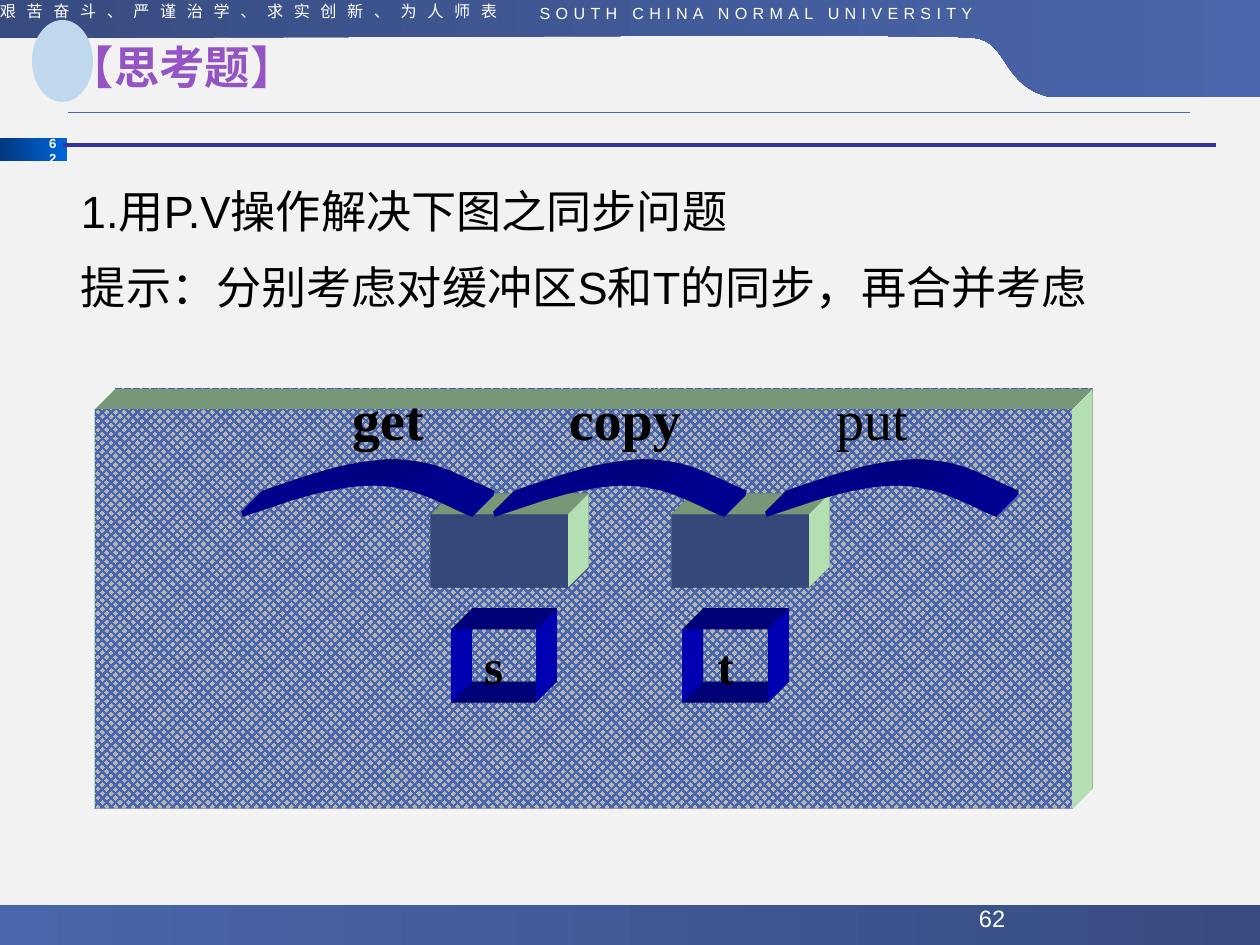
"""Build a slide posing a P.V synchronisation exercise with two buffers."""
from lxml.etree import SubElement
from pptx import Presentation
from pptx.dml.color import RGBColor
from pptx.enum.dml import MSO_PATTERN
from pptx.enum.shapes import MSO_CONNECTOR, MSO_SHAPE
from pptx.enum.text import MSO_ANCHOR, PP_ALIGN
from pptx.oxml import parse_xml
from pptx.oxml.ns import nsdecls, qn
from pptx.util import Pt

PX = 914400 / 126
COLORS = {
    "paper": "F2F2F2", "white": "FFFFFF", "black": "000000",
    "blue": "4A66AC", "deep": "384C81", "pale": "C0D8ED",
    "tab_dark": "00387F", "tab_light": "0066DB", "rule": "333399",
    "purple": "9454C3", "arc": "0000CC", "side": "CCFFCC",
}


def px(n):
    return round(n * PX)


def rgb(name):
    return RGBColor.from_string(COLORS[name])


def write(tf, text, size=18, color="black", font="Arial", bold=False, align=PP_ALIGN.LEFT,
          anchor=MSO_ANCHOR.TOP, left=13, right=13, spacing=None, track=0, hang=0):
    tf.word_wrap = True
    tf.vertical_anchor = anchor
    tf.margin_left, tf.margin_right = px(left), px(right)
    tf.margin_top = tf.margin_bottom = px(6)
    for i, line in enumerate(text.split("\n")):
        p = tf.add_paragraph() if i else tf.paragraphs[0]
        p.alignment, p.line_spacing = align, spacing
        if hang:
            pPr = p._p.get_or_add_pPr()
            pPr.set("marL", str(px(hang)))
            pPr.set("indent", str(-px(hang)))
        r = p.add_run()
        r.text = line
        r.font.name, r.font.size, r.font.bold = font, Pt(size), bold
        r.font.color.rgb = rgb(color)
        rPr = r._r.get_or_add_rPr()
        if track:
            rPr.set("spc", str(track * 100))
        SubElement(rPr, qn("a:ea")).set("typeface", "Noto Sans CJK SC")


class Deck:
    """Holds the style and the current slide."""

    def __init__(self):
        self.prs = Presentation()
        self.prs.slide_width, self.prs.slide_height = px(1260), px(945)
        self.s = self.prs.slides.add_slide(self.prs.slide_layouts[6])
        self.s.background.fill.solid()
        self.s.background.fill.fore_color.rgb = rgb("paper")

    def paint(self, sp, fill=None, line=None, width=1):
        sp.shadow.inherit = False
        if fill is None:
            sp.fill.background()
        elif isinstance(fill, tuple):
            sp.fill.gradient()
            sp.fill.gradient_angle = 0
            for stop, name in zip(sp.fill.gradient_stops, fill):
                stop.color.rgb = rgb(name)
        else:
            sp.fill.solid()
            sp.fill.fore_color.rgb = rgb(fill)
        if line:
            sp.line.color.rgb = rgb(line)
            sp.line.width = Pt(width)
        else:
            sp.line.fill.background()
        return sp

    def shape(self, x, y, w, h, kind=MSO_SHAPE.RECTANGLE, **style):
        sp = self.s.shapes.add_shape(kind, px(x), px(y), px(w), px(h))
        return self.paint(sp, **style)

    def curve(self, start, straight, controls, close=False, **style):
        builder = self.s.shapes.build_freeform(*start, scale=PX)
        builder.add_line_segments(straight + controls, close=close)
        sp = builder.convert_to_shape()
        steps = list(sp._element.iter(qn("a:lnTo")))[len(straight):]
        for first, second, third in zip(steps[::3], steps[1::3], steps[2::3]):
            first.tag = qn("a:cubicBezTo")
            for step in (second, third):
                first.append(step[0])
                step.getparent().remove(step)
        return self.paint(sp, **style)

    def rule(self, x1, x2, y, color, width):
        c = self.s.shapes.add_connector(MSO_CONNECTOR.STRAIGHT, px(x1), px(y), px(x2), px(y))
        c.line.color.rgb = rgb(color)
        c.line.width = Pt(width)
        SubElement(c._element.spPr, qn("a:effectLst"))

    def text(self, x, y, w, h, text, **style):
        sp = self.s.shapes.add_textbox(px(x), px(y), px(w), px(h))
        write(sp.text_frame, text, **style)

    def extrude(self, sp, color, light="b"):
        spPr = sp._element.spPr
        spPr.append(parse_xml(
            f'<a:scene3d {nsdecls("a")}><a:camera prst="legacyObliqueTopRight"/>'
            f'<a:lightRig rig="legacyFlat3" dir="{light}"/></a:scene3d>'))
        spPr.append(parse_xml(
            f'<a:sp3d {nsdecls("a")} extrusionH="430200" prstMaterial="legacyMatte">'
            '<a:bevelT w="13500" h="13500" prst="angle"/>'
            '<a:bevelB w="13500" h="13500" prst="angle"/>'
            f'<a:extrusionClr><a:srgbClr val="{COLORS[color]}"/></a:extrusionClr></a:sp3d>'))


def frame(deck):
    deck.curve((0, -2), [(1260, -2), (1260, 97), (1050, 97)],
               [(1002, 86), (1008, 42), (975, 38), (942, 33), (325, 38), (0, 38)],
               close=True, fill=("deep", "blue"))
    deck.shape(0, 905, 1260, 40, fill=("blue", "deep"))
    deck.rule(68, 1190, 112, "blue", 0.5)
    deck.shape(32, 20, 61, 82, kind=MSO_SHAPE.OVAL, fill="pale")
    header = dict(size=9.2, color="white", left=0, spacing=0.9)
    deck.text(0, -2, 517, 34, "艰苦奋斗、严谨治学、求实创新、为人师表", track=6, **header)
    deck.text(486, 0, 486, 40, "SOUTH CHINA NORMAL UNIVERSITY", track=3, right=0,
              align=PP_ALIGN.RIGHT, **header)
    deck.shape(0, 138, 67, 23, fill=("tab_dark", "tab_light"))
    deck.text(36, 129, 33, 29, "62", size=7.5, color="white", bold=True, align=PP_ALIGN.RIGHT)
    deck.rule(63, 1216, 145, "rule", 2.25)


def diagram(deck):
    for x in (431, 672):
        deck.extrude(deck.shape(x, 515, 137, 73, fill="blue"), "side")
    for x in (242, 494, 766):
        controls = [(x + dx, y) for dx, y in (
            (33, 503), (67, 491), (93, 487), (121, 482), (140, 482), (163, 487),
            (185, 491), (218, 510), (231, 514))]
        deck.extrude(deck.curve((x, 514), [], controls, line="arc", width=3), "arc")
    label = dict(font="Times New Roman", align=PP_ALIGN.CENTER)
    for x, w, name, bold in ((325, 126, "get", True), (546, 158, "copy", True),
                             (809, 126, "put", False)):
        deck.text(x, 378, w, 79, name, size=32, bold=bold, **label)
    for x, name in ((451, "s"), (683, "t")):
        sp = deck.shape(x, 630, 85, 73, line="arc", width=0.75)
        deck.extrude(sp, "arc", light="t")
        write(sp.text_frame, name, size=28, bold=True, **label)


def main():
    deck = Deck()
    frame(deck)
    board = deck.shape(95, 409, 977, 400, fill="blue")
    board.fill.patterned()
    board.fill.pattern = MSO_PATTERN.PERCENT_50
    board.fill.fore_color.rgb, board.fill.back_color.rgb = rgb("blue"), rgb("white")
    deck.extrude(board, "side")
    deck.text(69, 14, 1123, 112, "【思考题】", size=25.9, color="purple", font="Noto Sans CJK SC",
              bold=True, left=0, spacing=0.9, anchor=MSO_ANCHOR.MIDDLE)
    deck.text(68, 156, 1123, 689,
              "1.用P.V操作解决下图之同步问题\n提示：分别考虑对缓冲区S和T的同步，再合并考虑",
              size=25.8, spacing=1.4, hang=24)
    diagram(deck)
    deck.text(966, 898, 294, 48, "62", size=13.5, color="white")
    deck.prs.save("out.pptx")


if __name__ == "__main__":
    main()
